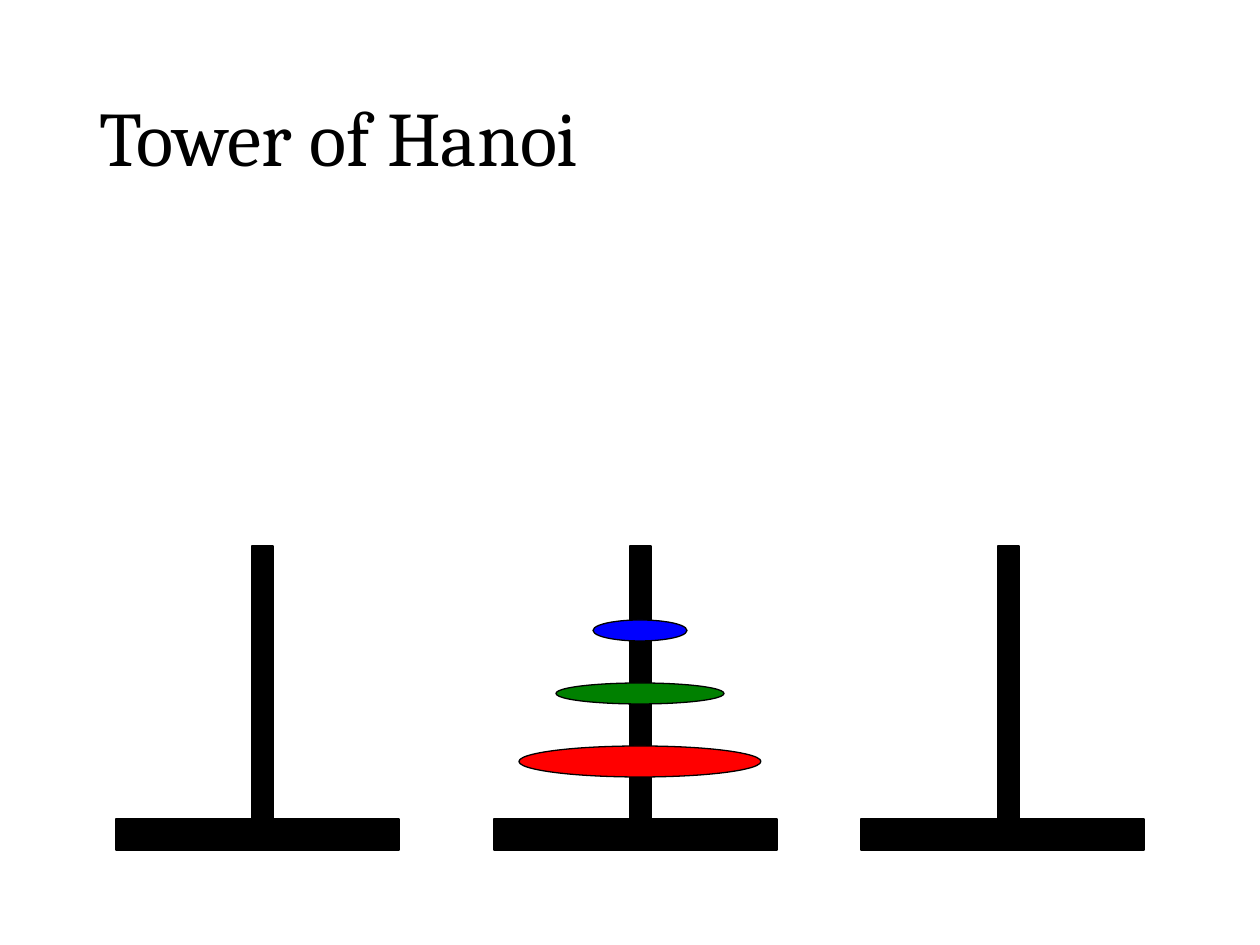
from pptx import Presentation
from pptx import util as u
from pptx.dml.color import RGBColor
from pptx.enum import shapes, text

PX = u.Inches(1) // 126
COLORS = {"black": "000000", "red": "FF0000", "green": "008000", "blue": "0000FF"}

presentation = Presentation()
presentation.slide_width = 1260 * PX
presentation.slide_height = 945 * PX
slide = presentation.slides.add_slide(presentation.slide_layouts[6])


def add_part(parent, kind, box, color):
    """Add a filled shape with a thin black outline; box is in px."""
    shape = parent.add_shape(kind, *(value * PX for value in box))
    shape.shadow.inherit = False
    shape.fill.solid()
    shape.fill.fore_color.rgb = RGBColor.from_string(COLORS[color])
    shape.line.color.rgb = RGBColor.from_string(COLORS["black"])
    shape.line.width = u.Pt(0.75)


title = slide.shapes.add_textbox(87 * PX, 50 * PX, 1086 * PX, 183 * PX)
frame = title.text_frame
frame.word_wrap = True
frame.vertical_anchor = text.MSO_ANCHOR.MIDDLE
paragraph = frame.paragraphs[0]
paragraph.line_spacing = 0.9
run = paragraph.add_run()
run.text = "Tower of Hanoi"
for name, value in {"name": "Cambria", "size": u.Pt(44)}.items():
    setattr(run.font, name, value)
run.font.color.rgb = RGBColor.from_string(COLORS["black"])

# Each tower: left edge of the base, offset of the peg
RECTANGLE = shapes.MSO_SHAPE.RECTANGLE
for left, peg_offset in [(116, 136), (494, 136), (861, 137)]:
    tower = slide.shapes.add_group_shape().shapes
    add_part(tower, RECTANGLE, (left, 819, 283, 31), "black")
    add_part(tower, RECTANGLE, (left + peg_offset, 546, 21, 273), "black")

# Disks are centred on the middle peg
PEG_CENTER = 640
for color, top, width, height in [
    ("red", 746, 242, 31),
    ("green", 683, 168, 21),
    ("blue", 620, 94, 21),
]:
    box = (PEG_CENTER - width // 2, top, width, height)
    add_part(slide.shapes, shapes.MSO_SHAPE.OVAL, box, color)

presentation.save("out.pptx")
